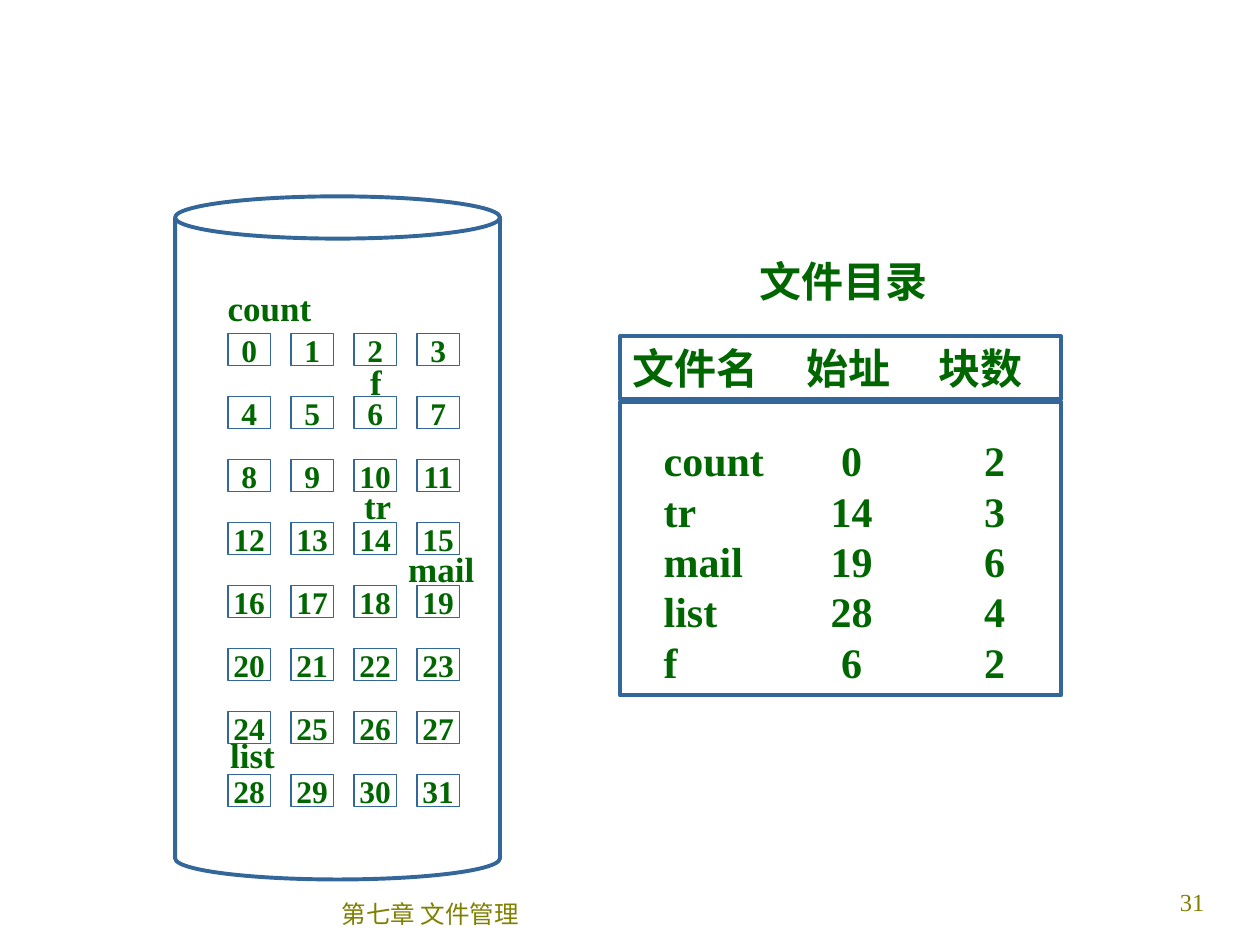
from lxml import etree
from pptx import Presentation
from pptx.dml.color import RGBColor
from pptx.enum import shapes, text
from pptx.oxml.ns import qn
from pptx.util import Cm, Pt

GREEN = RGBColor(0x00, 0x66, 0x00)
BLUE = RGBColor(0x33, 0x66, 0x99)
OLIVE = RGBColor(0x80, 0x80, 0x00)

BLOCK_ROWS, BLOCK_COLUMNS, BLOCK_PITCH = 8, 4, 1.27
BLOCK_LEFT, BLOCK_TOP = 4.6, 6.73

HEADINGS = ("文件名", "始址", "块数")
FILES = [
    ("count", 0, 2),
    ("tr", 14, 3),
    ("mail", 19, 6),
    ("list", 28, 4),
    ("f", 6, 2),
]
FILE_LABELS = [
    ("count", 4.34, 5.66, 2.39),
    ("f", 7.21, 7.14, 0.64),
    ("tr", 7.09, 9.65, 1.07),
    ("mail", 7.98, 10.92, 1.91),
    ("list", 4.39, 14.66, 1.91),
]


def add_tab_stops(paragraph, stops, align):
    tab_list = etree.SubElement(paragraph._p.get_or_add_pPr(), qn("a:tabLst"))
    for stop in stops:
        etree.SubElement(tab_list, qn("a:tab"), pos=str(Cm(stop)), algn=align)


def write_text(shape, lines, size=24, color=GREEN, bold=True, font="Times New Roman",
               align=text.PP_ALIGN.LEFT, anchor=text.MSO_ANCHOR.TOP, wrap=True,
               tab_stops=(), tab_align="l"):
    frame = shape.text_frame
    frame.word_wrap = wrap
    frame.vertical_anchor = anchor
    frame.text = "\n".join(lines)
    for paragraph in frame.paragraphs:
        paragraph.alignment = align
        if tab_stops:
            add_tab_stops(paragraph, tab_stops, tab_align)
        paragraph.font.size = Pt(size)
        paragraph.font.bold = bold
        paragraph.font.name = font
        paragraph.font.color.rgb = color


def add_outline(parent, kind, left, top, width, height, line_width=2.25):
    """Add an unfilled preset shape with a blue line."""
    shape = parent.shapes.add_shape(kind, Cm(left), Cm(top), Cm(width), Cm(height))
    shape.shadow.inherit = False
    shape.fill.background()
    shape.line.color.rgb = BLUE
    shape.line.width = Pt(line_width)
    return shape


def add_label(slide, lines, left, top, width, height, **text_format):
    box = slide.shapes.add_textbox(Cm(left), Cm(top), Cm(width), Cm(height))
    write_text(box, lines, **text_format)


def add_disk(slide):
    """Add the numbered blocks, the cylinder around them and the file labels."""
    blocks = slide.shapes.add_group_shape()
    for number in range(BLOCK_ROWS * BLOCK_COLUMNS):
        row, column = divmod(number, BLOCK_COLUMNS)
        block = add_outline(blocks, shapes.MSO_SHAPE.RECTANGLE,
                            BLOCK_LEFT + column * BLOCK_PITCH,
                            BLOCK_TOP + row * BLOCK_PITCH, 0.85, 0.64, line_width=0.75)
        write_text(block, [str(number)], size=18, align=text.PP_ALIGN.CENTER,
                   anchor=text.MSO_ANCHOR.MIDDLE, wrap=False)
    cylinder = add_outline(slide, shapes.MSO_SHAPE.CAN, 3.53, 3.96, 6.55, 13.77)
    cylinder.adjustments[0] = 0.13
    for name, left, top, width in FILE_LABELS:
        add_label(slide, [name], left, top, width, 1.12, size=20)


def add_directory(slide):
    """Add the file directory: title, heading row and file rows."""
    add_label(slide, ["文件目录"], 15.06, 5.03, 3.89, 1.27, wrap=False)
    header = add_outline(slide, shapes.MSO_SHAPE.RECTANGLE, 12.5, 6.78, 8.89, 1.27)
    write_text(header, ["\t".join(HEADINGS)], tab_stops=(3.51, 6.17))
    add_outline(slide, shapes.MSO_SHAPE.RECTANGLE, 12.5, 8.1, 8.89, 5.92)
    rows = ["\t".join(map(str, entry)) for entry in FILES]
    add_label(slide, rows, 13.13, 8.64, 7.57, 5.33,
              tab_stops=(3.79, 6.67), tab_align="ctr")


def add_footer(slide):
    add_label(slide, ["第七章 文件管理"], 4.65, 17.78, 8.05, 1.27, size=14, color=OLIVE,
              bold=False, font="Arial", align=text.PP_ALIGN.CENTER,
              anchor=text.MSO_ANCHOR.MIDDLE)
    add_label(slide, ["31"], 19.25, 17.75, 5.28, 1.27, size=14, color=OLIVE,
              bold=False, align=text.PP_ALIGN.RIGHT)


def main():
    presentation = Presentation()
    presentation.slide_width = Cm(25.4)
    presentation.slide_height = Cm(19.05)
    slide = presentation.slides.add_slide(presentation.slide_layouts[6])
    add_disk(slide)
    add_directory(slide)
    add_footer(slide)
    presentation.save("out.pptx")


if __name__ == "__main__":
    main()
